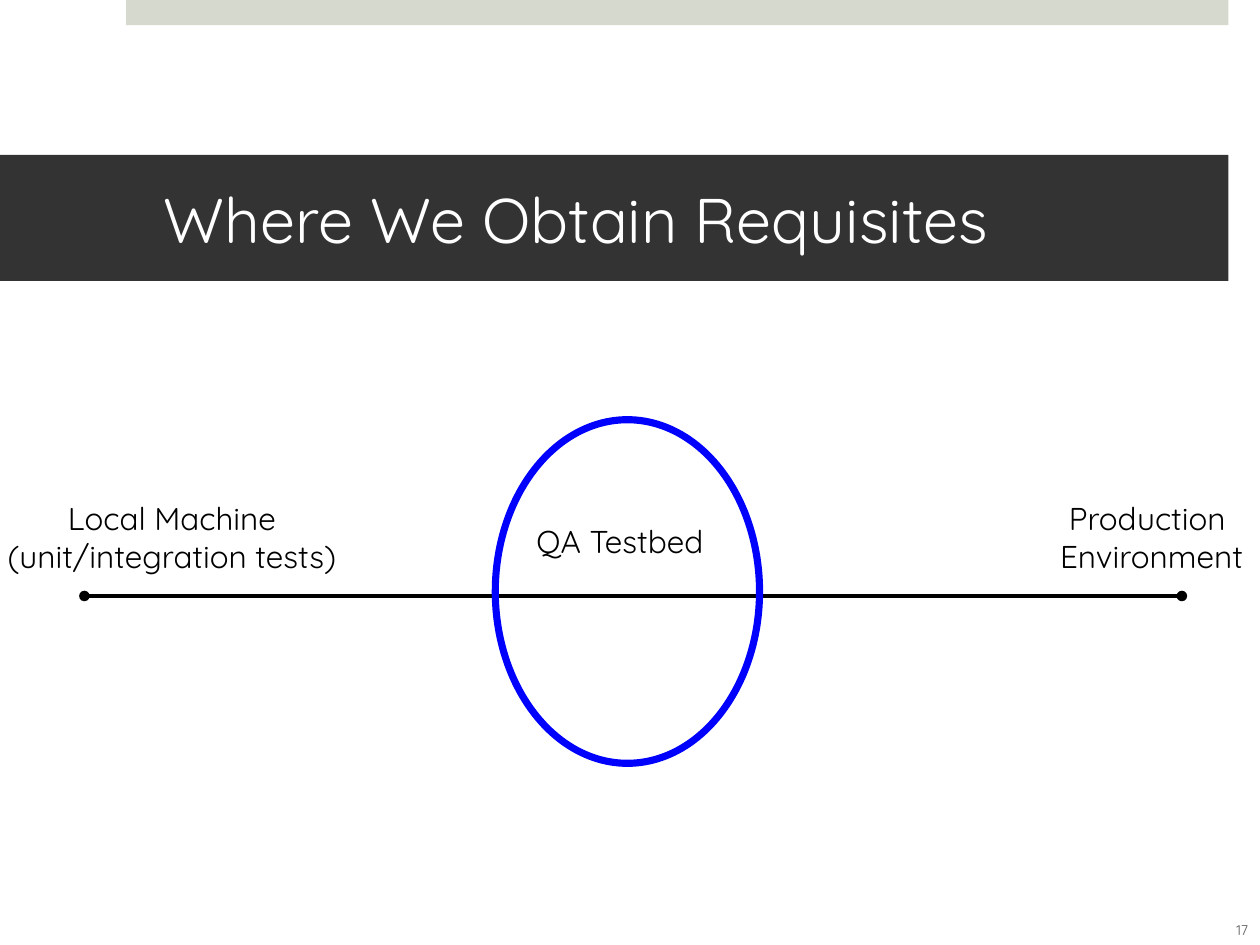
"""Build the slide showing where requisites are obtained."""
from lxml import etree
from pptx import Presentation
from pptx.dml.color import RGBColor
from pptx.enum.shapes import MSO_CONNECTOR, MSO_SHAPE
from pptx.enum.text import MSO_ANCHOR, MSO_AUTO_SIZE, PP_ALIGN
from pptx.oxml.ns import qn
from pptx.util import Inches, Pt

TITLE = "Where We Obtain Requisites"
LABELS = [
    ("Local Machine\n(unit/integration tests)", (-0.07, 3.91, 2.87, 0.71), PP_ALIGN.CENTER),
    ("Production\n Environment", (8.21, 3.91, 1.79, 0.71), PP_ALIGN.CENTER),
    ("QA Testbed", (4.16, 4.09, 1.63, 0.4), PP_ALIGN.LEFT),
]
NUMBER = ("17", (9.61, 7.18, 0.5, 0.4))
BAR = (1, 0, 8.75, 0.2)
BAND = (0, 1.23, 9.75, 1)
RING = (3.91, 3.31, 2.14, 2.77)
AXIS = (0.67, 4.73, 9.38, 4.73)

FONT = "Quicksand"
BLACK = RGBColor(0, 0, 0)
WHITE = RGBColor(255, 255, 255)
BLUE = RGBColor(0, 0, 255)
SAGE = RGBColor(0xD6, 0xD9, 0xCD)
DARK = RGBColor(0x33, 0x33, 0x33)
GREY = RGBColor(0x59, 0x59, 0x59)
RECT, DONUT = MSO_SHAPE.RECTANGLE, MSO_SHAPE.DONUT
LINE = MSO_CONNECTOR.STRAIGHT
LEFT, CENTER = PP_ALIGN.LEFT, PP_ALIGN.CENTER
TOP, MIDDLE = MSO_ANCHOR.TOP, MSO_ANCHOR.MIDDLE
FIXED = MSO_AUTO_SIZE.NONE


def place(box):
    return [Inches(n) for n in box]


def write(frame, text, size, color, align, anchor=TOP, wrap=True):
    frame.text = text
    frame.auto_size = FIXED
    frame.word_wrap = wrap
    frame.vertical_anchor = anchor
    for para in frame.paragraphs:
        para.alignment = align
        for run in para.runs:
            run.font.name = FONT
            run.font.size = Pt(size)
            run.font.color.rgb = color


def draw(kind, box, color):
    shape = slide.shapes.add_shape(kind, *place(box))
    shape.shadow.inherit = False
    shape.fill.solid()
    shape.fill.fore_color.rgb = color
    shape.line.fill.background()
    return shape


deck = Presentation()
deck.slide_width, deck.slide_height = Inches(10), Inches(7.5)
slide = deck.slides.add_slide(deck.slide_layouts[5])

draw(RECT, BAR, SAGE)

title = slide.shapes.title
title.left, title.top, title.width, title.height = place(BAND)
title.fill.solid()
title.fill.fore_color.rgb = DARK
frame = title.text_frame
write(frame, TITLE, 36, WHITE, LEFT, MIDDLE)
frame.margin_left, frame.margin_right = Inches(1.3), Inches(0.3)

axis = slide.shapes.add_connector(LINE, *place(AXIS))
axis.line.color.rgb = BLACK
axis.line.width = Pt(2)
stroke = axis.line._get_or_add_ln()
for end in ("a:headEnd", "a:tailEnd"):
    etree.SubElement(stroke, qn(end), type="oval")
etree.SubElement(axis._element.spPr, qn("a:effectLst"))

for text, box, align in LABELS:
    label = slide.shapes.add_textbox(*place(box))
    write(label.text_frame, text, 18, BLACK, align, wrap=False)

ring = draw(DONUT, RING, BLUE)
ring.adjustments[0] = 0.02
ring.line.color.rgb = BLUE
ring.line.width = Pt(1)

text, box = NUMBER
number = slide.shapes.add_textbox(*place(box))
write(number.text_frame, text, 8, GREY, CENTER, MIDDLE)

deck.save("out.pptx")
